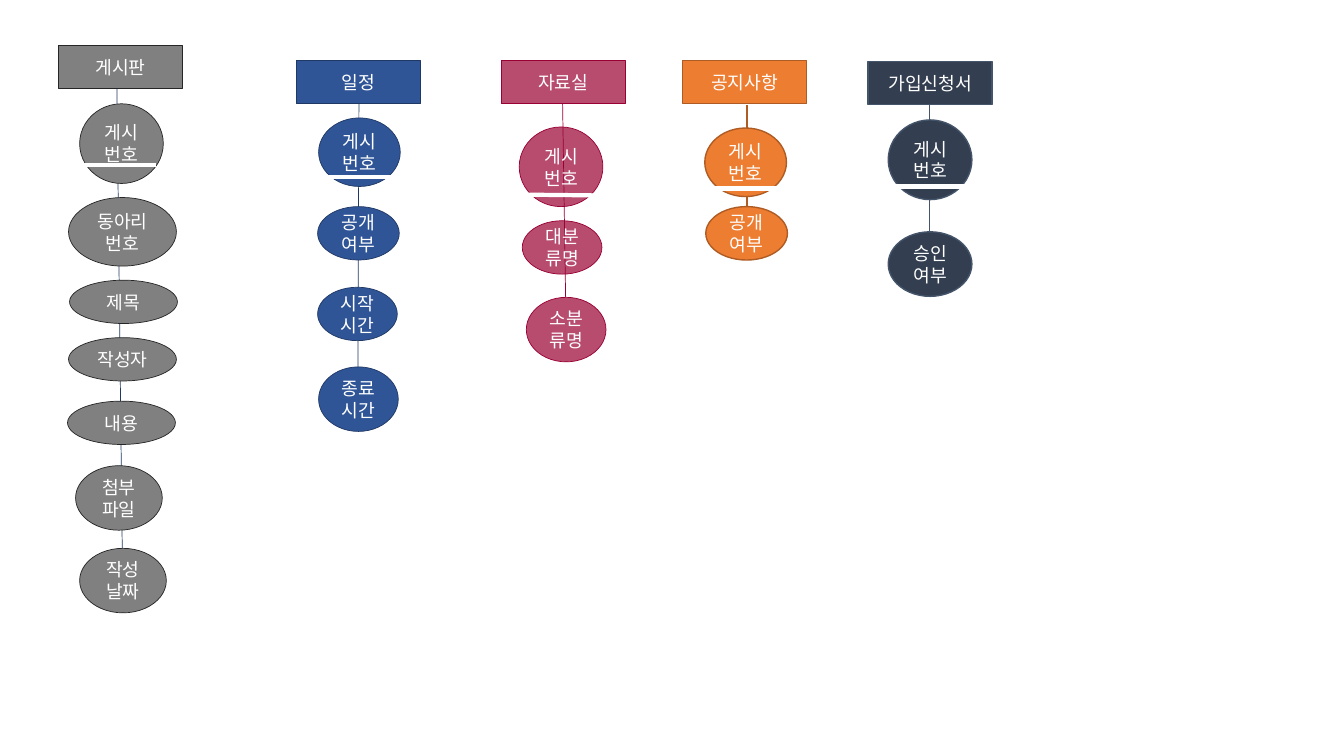
from lxml.etree import SubElement
from pptx import Presentation
from pptx.dml.color import RGBColor
from pptx.enum.shapes import MSO_CONNECTOR, MSO_SHAPE
from pptx.enum.text import MSO_ANCHOR, PP_ALIGN
from pptx.oxml.ns import qn
from pptx.util import Inches, Pt

# Content: each entity has a header, a thread, a key underline and attributes
# Boxes are (left, top, width, height); lines are (x1, y1, x2, y2), in inches
ENTITIES = [
    {"name": "게시판", "style": "board", "corner": (0.58, 0.45),
     "thread": (1.16, 0.88, 1.22, 6.07), "key_line": (0.65, 1.64, 1.55, 1.64),
     "attributes": [
         ("게시번호", (0.79, 1.03, 0.83, 0.79)),
         ("동아리번호", (0.68, 1.96, 1.07, 0.68)),
         ("제목", (0.69, 2.78, 1.07, 0.43)),
         ("작성자", (0.68, 3.35, 1.07, 0.43)),
         ("내용", (0.67, 3.98, 1.07, 0.43)),
         ("첨부파일", (0.75, 4.62, 0.86, 0.64)),
         ("작성날짜", (0.79, 5.44, 0.86, 0.64))]},
    {"name": "일정", "style": "schedule", "corner": (2.94, 0.6),
     "thread": (3.56, 1.03, 3.55, 3.64), "key_line": (3.08, 1.76, 3.98, 1.76),
     "attributes": [
         ("게시번호", (3.16, 1.17, 0.81, 0.68)),
         ("공개여부", (3.15, 2.05, 0.81, 0.53)),
         ("시작시간", (3.15, 2.85, 0.79, 0.53)),
         ("종료시간", (3.16, 3.64, 0.79, 0.64))]},
    {"name": "자료실", "style": "library", "corner": (4.97, 0.6),
     "thread": (5.58, 1.03, 5.61, 2.95), "key_line": (5.1, 1.93, 6.03, 1.94),
     "attributes": [
         ("게시번호", (5.15, 1.26, 0.83, 0.79)),
         ("대분류명", (5.18, 2.19, 0.79, 0.53)),
         ("소분류명", (5.22, 2.95, 0.79, 0.64))]},
    {"name": "공지사항", "style": "notice", "corner": (6.77, 0.6),
     "thread": (7.41, 1.04, 7.41, 2.05), "key_line": (6.87, 1.87, 7.8, 1.87),
     "attributes": [
         ("게시번호", (6.99, 1.27, 0.81, 0.68)),
         ("공개여부", (7, 2.05, 0.81, 0.53))]},
    {"name": "가입신청서", "style": "application", "corner": (8.61, 0.61),
     "thread": (9.22, 1.04, 9.22, 2.3), "key_line": (8.73, 1.85, 9.63, 1.85),
     "attributes": [
         ("게시번호", (8.81, 1.19, 0.83, 0.79)),
         ("승인여부", (8.81, 2.3, 0.83, 0.64))]},
]
HEADER_SIZE = (1.23, 0.43)

THEME = {
    "font": "Noto Sans CJK KR", "size": 13, "text": "FFFFFF",
    "key_line": ("FFFFFF", 3),
    "board": {"fill": "808080", "line": ("262626", 0.5), "thread": ("203864", 0.5)},
    "schedule": {"fill": "2F5597", "line": ("203864", 0.5)},
    "library": {"fill": "990033", "line": ("990033", 0.5), "opacity": 70},
    "notice": {"fill": "ED7D31", "line": ("AF5C24", 1)},
    "application": {"fill": "333F50", "line": ("44546A", 1)},
}


def set_line(line, look):
    color, width = look
    line.color.rgb = RGBColor.from_string(color)
    line.width = Pt(width)


def add_line(slide, ends, look):
    connector = slide.shapes.add_connector(MSO_CONNECTOR.STRAIGHT, *map(Inches, ends))
    set_line(connector.line, look)
    SubElement(connector._element.spPr, qn("a:effectLst"))


def add_node(slide, kind, box, label, style):
    node = slide.shapes.add_shape(kind, *map(Inches, box))
    node.shadow.inherit = False
    node.fill.solid()
    node.fill.fore_color.rgb = RGBColor.from_string(style["fill"])
    set_line(node.line, style["line"])
    if "opacity" in style:
        color = node._element.spPr.find(qn("a:solidFill"))[0]
        SubElement(color, qn("a:alpha"), val=str(style["opacity"] * 1000))

    frame = node.text_frame
    frame.word_wrap = True
    frame.vertical_anchor = MSO_ANCHOR.MIDDLE
    paragraph = frame.paragraphs[0]
    paragraph.alignment = PP_ALIGN.CENTER
    run = paragraph.add_run()
    run.text = label
    for attribute, value in {"name": THEME["font"], "size": Pt(THEME["size"])}.items():
        setattr(run.font, attribute, value)
    run.font.color.rgb = RGBColor.from_string(THEME["text"])
    SubElement(run.font._element, qn("a:ea"), typeface=THEME["font"])


def add_entity(slide, entity):
    style = THEME[entity["style"]]
    # Thread behind the nodes
    add_line(slide, entity["thread"], style.get("thread", style["line"]))
    # Header and attributes
    add_node(slide, MSO_SHAPE.RECTANGLE, entity["corner"] + HEADER_SIZE,
             entity["name"], style)
    for label, box in entity["attributes"]:
        add_node(slide, MSO_SHAPE.OVAL, box, label, style)
    # Underline of the key attribute
    add_line(slide, entity["key_line"], THEME["key_line"])


def main():
    deck = Presentation()
    deck.slide_width, deck.slide_height = Inches(13.33), Inches(7.5)
    slide = deck.slides.add_slide(deck.slide_layouts[6])
    for entity in ENTITIES:
        add_entity(slide, entity)
    deck.save("out.pptx")


if __name__ == "__main__":
    main()
